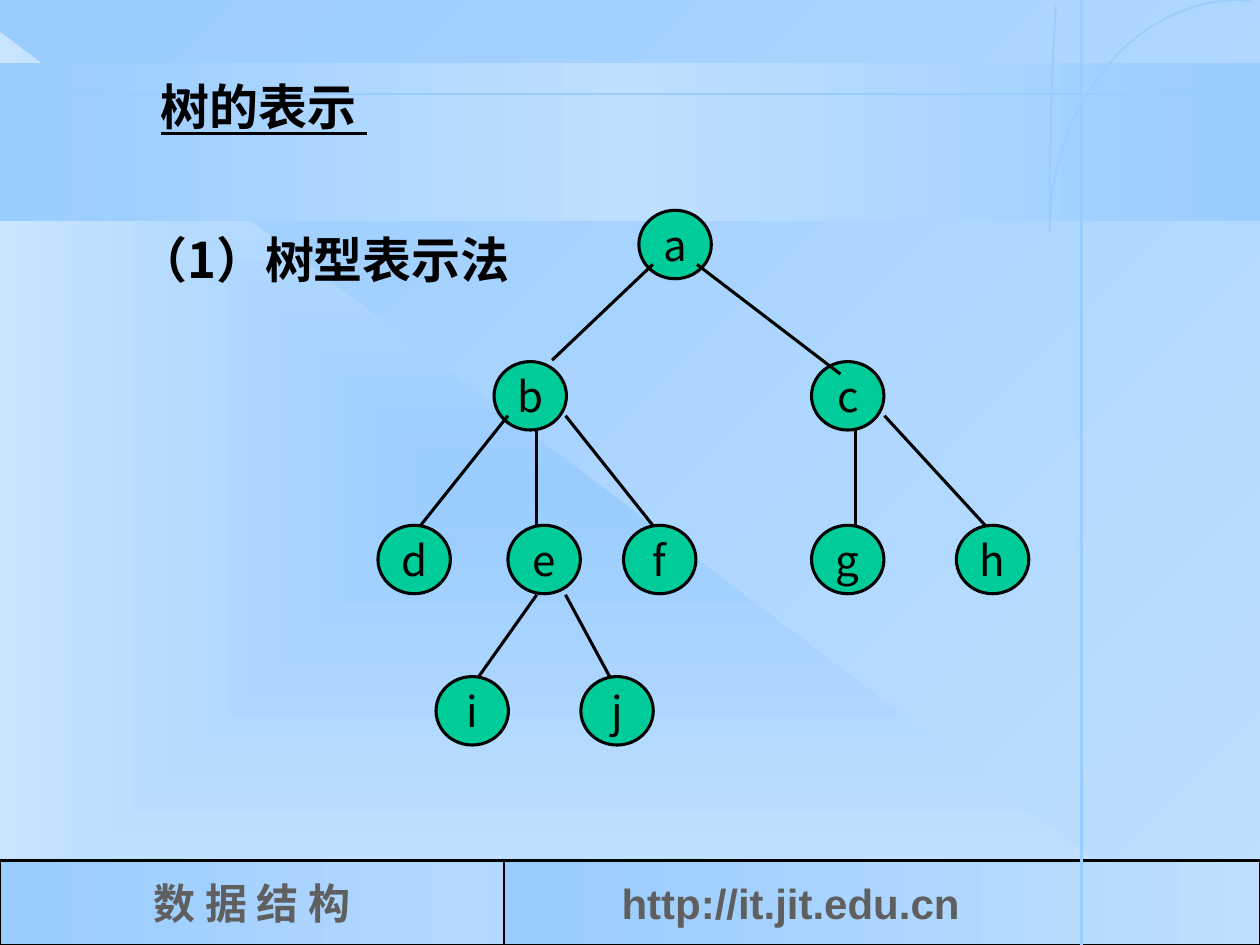
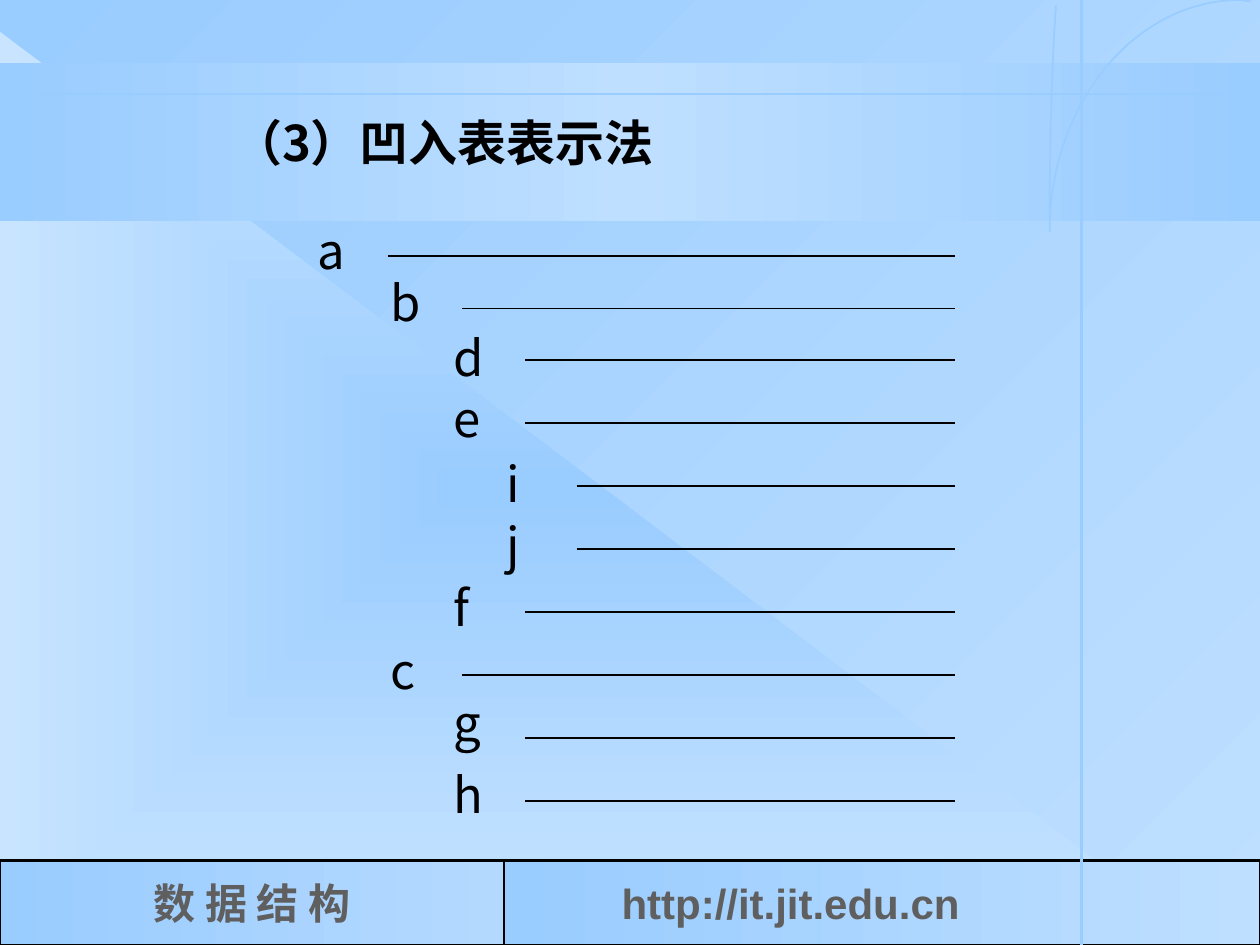
from dataclasses import dataclass

from lxml import etree
from pptx import Presentation
from pptx.dml.color import RGBColor
from pptx.enum.shapes import MSO_CONNECTOR, MSO_SHAPE
from pptx.enum.text import MSO_ANCHOR, PP_ALIGN
from pptx.oxml.ns import qn
from pptx.util import Cm, Pt

RECT, OVAL, TRIANGLE = MSO_SHAPE.RECTANGLE, MSO_SHAPE.OVAL, MSO_SHAPE.RIGHT_TRIANGLE
STRAIGHT = MSO_CONNECTOR.STRAIGHT
MIDDLE, TOP = MSO_ANCHOR.MIDDLE, MSO_ANCHOR.TOP
CENTER, LEFT = PP_ALIGN.CENTER, PP_ALIGN.LEFT

WIDTH, HEIGHT = 25.4, 19.05


@dataclass(frozen=True)
class Theme:
    sky: str = "99CCFF"
    pale: str = "BEDFFF"
    paler: str = "C8E4FF"
    mid: str = "B4D9FF"
    node: str = "00CC99"
    ink: str = "000000"
    grey: str = "5F5F5F"
    font: str = "Noto Sans CJK JP"
    serif: str = "Times New Roman"
    sans: str = "Arial"
    large: int = 28
    normal: int = 24


THEME = Theme()
HEADING = {"size": Pt(THEME.large), "bold": True}
LABEL = {"size": Pt(THEME.large), "bold": False}
NODE = {"size": Pt(THEME.normal), "bold": False}
FOOTER = {"size": Pt(THEME.normal), "bold": True}

# Node: left and top in cm
NODES = {
    "b": (9.96, 7.29), "a": (12.88, 4.24), "c": (16.36, 7.29),
    "g": (16.36, 10.59), "h": (19.28, 10.59), "d": (7.62, 10.59),
    "e": (10.24, 10.59), "f": (12.57, 10.59),
    "i": (8.79, 13.64), "j": (11.71, 13.64),
}
# Edge: start x, start y, end x, end y in cm
EDGES = [
    (13.16, 5.33, 11.13, 7.26), (14.05, 5.33, 16.94, 7.54),
    (10.24, 8.38, 8.48, 10.59), (10.82, 8.66, 10.82, 10.59),
    (11.4, 8.38, 13.16, 10.59), (10.82, 11.99, 9.65, 13.64),
    (11.4, 11.99, 12.29, 13.64), (17.25, 8.66, 17.25, 10.59),
    (17.83, 8.38, 19.86, 10.59),
]
# Row of the indented list: label, depth, label top, line height
ROWS = [
    ("a", 0, 4.32, 5.16), ("b", 1, 5.36, 6.22), ("d", 2, 6.48, 7.26),
    ("e", 2, 7.7, 8.53), ("i", 3, 9.02, 9.8), ("j", 3, 10.24, 11.07),
    ("f", 2, 11.51, 12.34), ("c", 1, 12.78, 13.61), ("g", 2, 13.84, 14.88),
    ("h", 2, 15.29, 16.15),
]
LABEL_LEFT = [6.15, 7.62, 8.89, 9.96]
LINE_LEFT = [7.82, 9.32, 10.59, 11.63]
LINE_RIGHT = 19.25


def cubic(points, t):
    """Point at t on a cubic Bezier curve."""
    weights = ((1 - t) ** 3, 3 * t * (1 - t) ** 2, 3 * t * t * (1 - t), t ** 3)
    return tuple(sum(w * p[axis] for w, p in zip(weights, points)) for axis in (0, 1))


def gradient(fill, owner, colors, angle=None):
    """Spread colors evenly along angle, or outward from the centre without one."""
    fill.gradient()
    grad = owner.xpath(".//a:gradFill")[0]
    for child in list(grad):
        grad.remove(child)
    stops = etree.SubElement(grad, qn("a:gsLst"))
    for i, color in enumerate(colors):
        stop = etree.SubElement(stops, qn("a:gs"), pos=str(100000 * i // (len(colors) - 1)))
        etree.SubElement(stop, qn("a:srgbClr"), val=color)
    if angle is None:
        outward = etree.SubElement(grad, qn("a:path"), {"path": "rect"})
        sides = {side: "50000" for side in "ltrb"}
        etree.SubElement(outward, qn("a:fillToRect"), sides)
    else:
        etree.SubElement(grad, qn("a:lin"), ang=str(angle * 60000), scaled="0")


class Deck:
    def __init__(self, theme):
        self.theme = theme
        self.prs = Presentation()
        self.prs.slide_width, self.prs.slide_height = Cm(WIDTH), Cm(HEIGHT)
        self.slide = None

    def new_slide(self):
        t = self.theme
        self.slide = s = self.prs.slides.add_slide(self.prs.slide_layouts[6])
        gradient(s.background.fill, s._element, [t.sky, t.pale], 45)
        self.shape(TRIANGLE, (0, 0.64, 24.33, 18.41), [t.sky, t.paler])
        self.shape(RECT, (0, 1.27, WIDTH, 3.18), [t.sky, t.pale, t.sky], 0)
        course = self.shape(RECT, (0, 17.35, 10.16, 1.7), [t.sky, t.mid], 0, 1.5)
        self.fill_text(course, "数 据 结 构", FOOTER, t.serif, t.grey, CENTER, MIDDLE)
        site = self.shape(RECT, (10.16, 17.35, 15.24, 1.7), [t.sky, t.pale], 0, 1.5)
        self.fill_text(site, "http://it.jit.edu.cn", FOOTER, t.sans, t.grey, LEFT, MIDDLE)
        site.text_frame.margin_left = Cm(2.37)
        self.line((0, 1.9, WIDTH, 1.9), t.sky, 1)
        self.line((21.8, 0, 21.8, HEIGHT), t.sky, 1.5)
        self.arcs()

    def stroke(self, line, color, width):
        line.color.rgb = RGBColor.from_string(color)
        line.width = Pt(width)

    def shape(self, kind, box, colors, angle=None, outline=0):
        sp = self.slide.shapes.add_shape(kind, *map(Cm, box))
        sp.shadow.inherit = False
        if len(colors) > 1:
            gradient(sp.fill, sp._element, colors, angle)
        else:
            sp.fill.solid()
            sp.fill.fore_color.rgb = RGBColor.from_string(colors[0])
        if outline:
            self.stroke(sp.line, self.theme.ink, outline)
        else:
            sp.line.fill.background()
        return sp

    def line(self, ends, color, width):
        cn = self.slide.shapes.add_connector(STRAIGHT, *map(Cm, ends))
        self.stroke(cn.line, color, width)
        etree.SubElement(cn._element.spPr, qn("a:effectLst"))

    def arcs(self):
        """Quarter arc at the top right and the rising stroke at its foot."""
        foot = (21.16, 4.67)
        arc = [(25, 0), (22.89, 0), (21.16, 2.08), foot]
        rise = [foot, (21.16, -6.88), (22.89, -4.8), (25, -4.8)]
        points = [(25.22, 0.03)]
        points += [cubic(arc, i / 40) for i in range(41)]
        points += [cubic(rise, i / 100) for i in range(1, 17)]
        points = [(Cm(x), Cm(y)) for x, y in points]
        builder = self.slide.shapes.build_freeform(*points[0])
        builder.add_line_segments(points[1:], close=False)
        sp = builder.convert_to_shape()
        sp.shadow.inherit = False
        sp.fill.background()
        self.stroke(sp.line, self.theme.sky, 1)

    def run(self, p, text, fmt, font, color):
        r = p.add_run()
        r.text = text
        for name, value in {**fmt, "name": font}.items():
            setattr(r.font, name, value)
        r.font.color.rgb = RGBColor.from_string(color)
        etree.SubElement(r._r.get_or_add_rPr(), qn("a:ea"), typeface=self.theme.font)

    def fill_text(self, sp, text, fmt, font, color, align, anchor):
        tf = sp.text_frame
        frame = {"word_wrap": True, "vertical_anchor": anchor}
        for name, value in frame.items():
            setattr(tf, name, value)
        p = tf.paragraphs[0]
        p.alignment = align
        self.run(p, text, fmt, font, color)
        return p

    def text(self, box, text, fmt, spacing=1.0):
        tb = self.slide.shapes.add_textbox(*map(Cm, box))
        p = self.fill_text(tb, text, fmt, self.theme.font, self.theme.ink, LEFT, TOP)
        p.line_spacing = spacing
        return tb

    def node(self, name, left, top):
        t = self.theme
        sp = self.shape(OVAL, (left, top, 1.46, 1.38), [t.node], outline=1.75)
        self.fill_text(sp, name, NODE, t.font, t.ink, CENTER, MIDDLE)
        sp.text_frame.word_wrap = False


def tree_slide(deck):
    deck.new_slide()
    underlined = {**HEADING, "underline": True}
    tb = deck.text((2.54, 1.07, 10.36, 4.88), "树的表示 ", underlined, 1.3)
    tf = tb.text_frame
    tf.paragraphs[0]._p.get_or_add_pPr().set("marL", str(Cm(0.45)))
    p = tf.add_paragraph()
    p.line_spacing, p.space_before = 1.3, Pt(43.5)
    deck.run(p, "（1）树型表示法", HEADING, deck.theme.font, deck.theme.ink)
    for name, (left, top) in NODES.items():
        deck.node(name, left, top)
    for ends in EDGES:
        deck.line(ends, deck.theme.ink, 1.75)


def indented_slide(deck):
    deck.new_slide()
    deck.text((4.45, 1.78, 12.7, 1.8), "（3）凹入表表示法", HEADING, 1.3)
    for name, depth, top, y in ROWS:
        deck.text((LABEL_LEFT[depth], top, 1.27, 1.45), name, LABEL)
        deck.line((LINE_LEFT[depth], y, LINE_RIGHT, y), deck.theme.ink, 0.75)


def main():
    deck = Deck(THEME)
    tree_slide(deck)
    indented_slide(deck)
    deck.prs.save("out.pptx")


if __name__ == "__main__":
    main()
